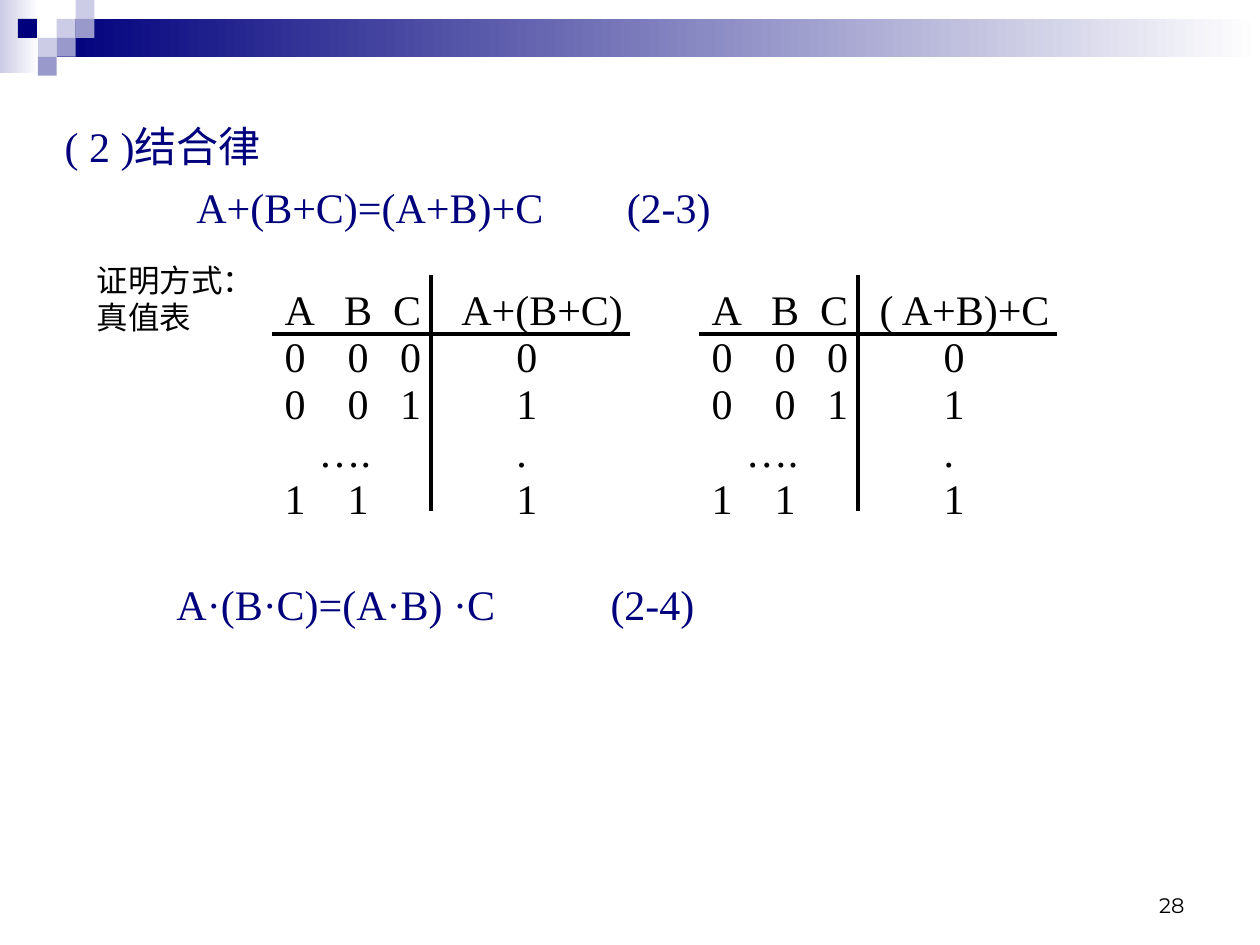
from dataclasses import dataclass

from lxml.etree import SubElement
from pptx import Presentation
from pptx.dml.color import RGBColor
from pptx.enum.shapes import MSO_CONNECTOR, MSO_SHAPE
from pptx.enum.text import MSO_ANCHOR, PP_ALIGN
from pptx.oxml.ns import qn
from pptx.slide import Slide
from pptx.util import Pt

NAVY, LAVENDER, LILAC, WHITE, BLACK = "00007D", "CCCCE6", "9999CC", "FFFFFF", "000000"
SQUARE = 10.8
SQUARES = [(3, 1, LAVENDER), (4, 0, LAVENDER), (4, 1, LILAC), (2, 2, LAVENDER),
           (0.95, 1, NAVY), (3, 2, LILAC), (2, 3, LILAC)]
DIGIT_STOPS = (36, 66, 132.5)
TRUTH_ROWS = [
    ("0\t0\t0\t0", DIGIT_STOPS),
    ("0\t0\t1\t1", DIGIT_STOPS),
    ("\t….\t.", (19.5, 132.5)),
    ("1\t1\t1", (36, 132.5)),
]


def color(value):
    return RGBColor.from_string(value)


@dataclass
class SlideBuilder:
    """Draws styled elements on the current slide, with lengths in points."""

    slide: Slide
    font: str = "Times New Roman"
    size: float = 24
    ink: str = NAVY

    def block(self, left, top, width, height, *fills):
        shape = self.slide.shapes.add_shape(
            MSO_SHAPE.RECTANGLE, Pt(left), Pt(top), Pt(width), Pt(height))
        shape.shadow.inherit = False
        shape.line.fill.background()
        if len(fills) == 1:
            shape.fill.solid()
            shape.fill.fore_color.rgb = color(fills[0])
        else:
            shape.fill.gradient()
            shape.fill.gradient_angle = 0
            for stop, value in zip(shape.fill.gradient_stops, fills):
                stop.color.rgb = color(value)

    def rule(self, start_x, start_y, end_x, end_y):
        line = self.slide.shapes.add_connector(
            MSO_CONNECTOR.STRAIGHT, Pt(start_x), Pt(start_y), Pt(end_x), Pt(end_y))
        line.line.width = Pt(2)
        line.line.color.rgb = color(BLACK)
        SubElement(line.element.spPr, qn("a:effectLst"))

    def fill_frame(self, frame, rows, anchor=MSO_ANCHOR.TOP, align=PP_ALIGN.LEFT,
                   line_spacing=None, space_before=0, **font_values):
        frame.word_wrap = True
        frame.vertical_anchor = anchor
        values = {"name": self.font, "size": self.size, "ink": self.ink} | font_values
        formats = {"name": values["name"], "size": Pt(values["size"])}
        for index, (text, stops) in enumerate(rows):
            para = frame.paragraphs[0] if index == 0 else frame.add_paragraph()
            para.alignment = align
            if index:
                para.space_before = Pt(space_before)
                if line_spacing:
                    para.line_spacing = Pt(line_spacing)
            if stops:
                tabs = SubElement(para._p.get_or_add_pPr(), qn("a:tabLst"))
                for stop in stops:
                    SubElement(tabs, qn("a:tab"), pos=str(Pt(stop)), algn="l")
            span = para.add_run()
            span.text = text
            for name, value in formats.items():
                setattr(span.font, name, value)
            span.font.color.rgb = color(values["ink"])

    def text(self, left, top, width, height, rows, **values):
        box = self.slide.shapes.add_textbox(Pt(left), Pt(top), Pt(width), Pt(height))
        self.fill_frame(box.text_frame, rows, **values)

    def title(self, left, top, width, height, text):
        title = self.slide.shapes.title
        place = {"left": left, "top": top, "width": width, "height": height}
        for name, value in place.items():
            setattr(title, name, Pt(value))
        self.fill_frame(title.text_frame, [(text, ())])

    def truth_table(self, left, header, header_stops, width):
        self.rule(left, 190.8, left + 204.5, 190.8)
        self.rule(left + 90.7, 157, left + 90.7, 292.3)
        self.text(left, 158.4, width, 144, [(header, header_stops), *TRUTH_ROWS],
                  line_spacing=12, space_before=15, ink=BLACK)


def main():
    deck = Presentation()
    deck.slide_width, deck.slide_height = Pt(720), Pt(540)
    page = SlideBuilder(deck.slides.add_slide(deck.slide_layouts[5]))

    page.block(0, 0, 22.3, 41.8, LAVENDER, WHITE)
    page.block(32.4, 10.8, 687.6, 21.6, NAVY, WHITE)
    for column, row, fill in SQUARES:
        page.block(column * SQUARE, row * SQUARE, SQUARE, SQUARE, fill)

    page.title(29.7, 65.5, 355, 36, "( 2 )结合律")
    page.text(105.1, 100, 360, 36, [("A+(B+C)=(A+B)+C\t(2-3)", (246,))])
    page.text(93.8, 326.9, 340, 36, [("A·(B·C)=(A·B) ·C\t(2-4)", (248,))])
    page.text(48.2, 145.4, 96.5, 50.4, [("证明方式：", ()), ("真值表", ())],
              name="Arial", size=18, ink=BLACK)
    page.truth_table(155.5, "A\tB\tC\tA+(B+C)", (34, 62, 101), 226.8)
    page.truth_table(399.6, "A\tB\tC\t( A+B)+C", (34, 62, 96), 252)
    page.text(516.2, 491.8, 167.8, 36, [("28", ())], anchor=MSO_ANCHOR.BOTTOM,
              align=PP_ALIGN.RIGHT, name="Montserrat", size=12, ink=BLACK)

    deck.save("out.pptx")


if __name__ == "__main__":
    main()
